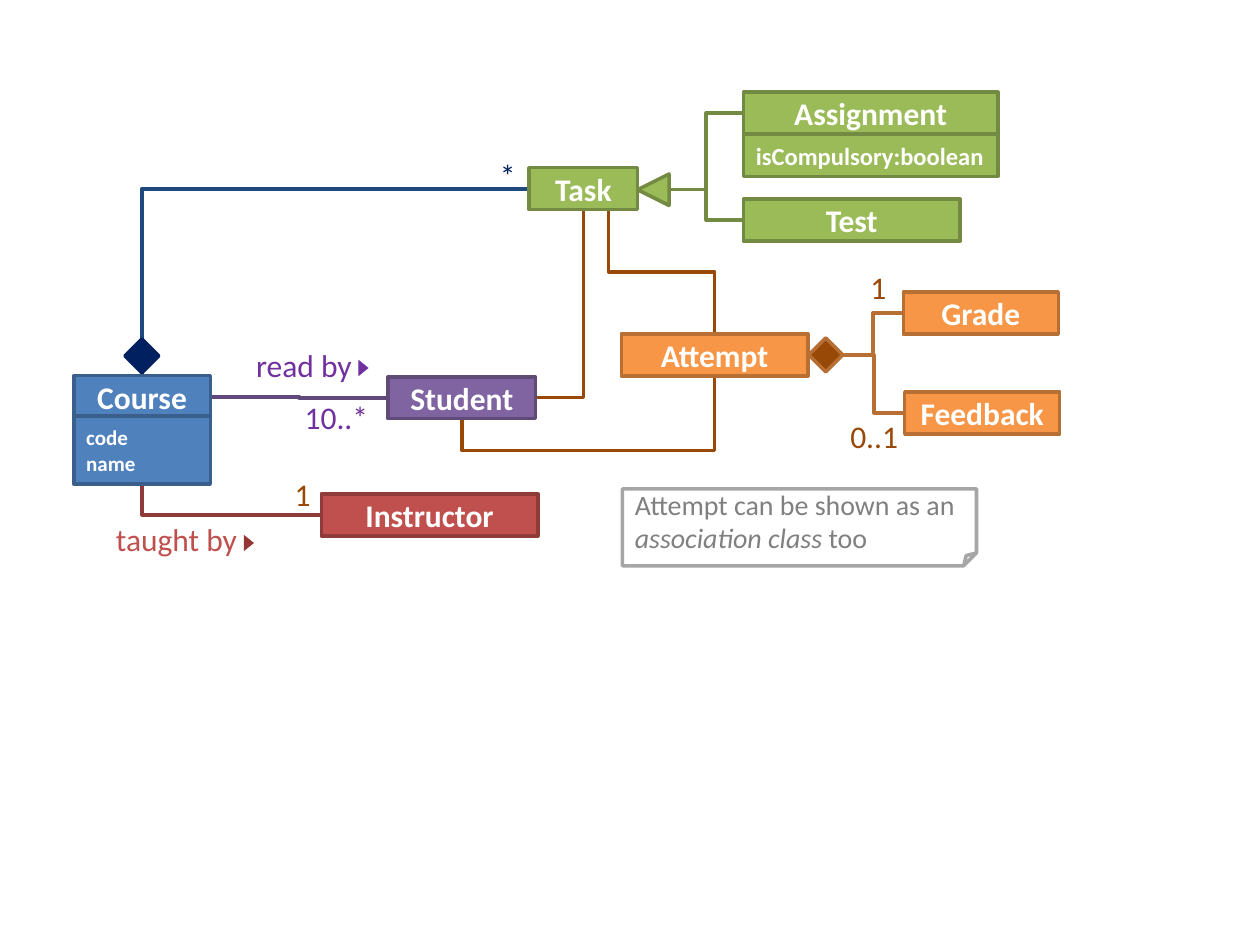
from lxml import etree
from pptx import Presentation
from pptx import util as u
from pptx.dml.color import RGBColor
from pptx.enum import shapes, text
from pptx.oxml.ns import qn

WHITE = RGBColor(0xFF, 0xFF, 0xFF)
BLUE, BLUE_EDGE = RGBColor(0x4F, 0x81, 0xBD), RGBColor(0x3A, 0x5F, 0x8C)
GREEN, GREEN_EDGE = RGBColor(0x9B, 0xBB, 0x59), RGBColor(0x73, 0x8A, 0x42)
PURPLE, PURPLE_EDGE = RGBColor(0x80, 0x64, 0xA2), RGBColor(0x5F, 0x4A, 0x78)
RED, RED_EDGE = RGBColor(0xC0, 0x50, 0x4D), RGBColor(0x8E, 0x3B, 0x39)
ORANGE, ORANGE_EDGE = RGBColor(0xF7, 0x96, 0x46), RGBColor(0xB7, 0x6F, 0x34)
NAVY = RGBColor(0x00, 0x20, 0x60)
DARK_BLUE = RGBColor(0x1F, 0x49, 0x7D)
DARK_PURPLE = RGBColor(0x60, 0x4A, 0x7B)
VIOLET = RGBColor(0x70, 0x30, 0xA0)
DARK_RED = RGBColor(0x95, 0x37, 0x35)
BROWN = RGBColor(0x98, 0x48, 0x07)
GRAY, GRAY_EDGE = RGBColor(0x80, 0x80, 0x80), RGBColor(0xA6, 0xA6, 0xA6)

LEFT, CENTER, RIGHT = text.PP_ALIGN.LEFT, text.PP_ALIGN.CENTER, text.PP_ALIGN.RIGHT
SHAPE = shapes.MSO_SHAPE
ROW = 24  # height of a class name row


def write(box, lines, size=18, color=WHITE, bold=False, align=LEFT,
          anchor=text.MSO_ANCHOR.MIDDLE):
    """Fill the box; each line is a list of spans, every second one italic."""
    frame = box.text_frame
    frame.word_wrap = True
    frame.vertical_anchor = anchor
    for number, spans in enumerate(lines):
        para = frame.add_paragraph() if number else frame.paragraphs[0]
        para.alignment = align
        for index, words in enumerate(spans):
            span = para.add_run()
            span.text = words
            font = span.font
            font.name, font.size, font.bold = "Calibri", u.Pt(size), bold
            font.italic = True if index % 2 else None
            font.color.rgb = color


def link(start, end, color, width=2, turn=0, bends=2, adjust=0.5):
    """Draw an elbow line that leaves start right, or turned clockwise by turn."""
    dx, dy = end[0] - start[0], end[1] - start[1]
    across, down = {0: (dx, dy), 90: (dy, -dx), 180: (-dx, -dy), 270: (-dy, dx)}[turn]
    mid_x, mid_y = (start[0] + end[0]) / 2, (start[1] + end[1]) / 2
    line = page.shapes.add_connector(
        shapes.MSO_CONNECTOR.ELBOW,
        u.Pt(mid_x - across / 2), u.Pt(mid_y - down / 2),
        u.Pt(mid_x + across / 2), u.Pt(mid_y + down / 2))
    line.line.color.rgb = color
    line.line.width = u.Pt(width)
    props = line.element.spPr
    if turn:
        props.find(qn("a:xfrm")).set("rot", str(turn * 60000))
    geometry = props.find(qn("a:prstGeom"))
    geometry.set("prst", f"bentConnector{bends + 1}")
    if bends == 2:
        guide = etree.SubElement(geometry.find(qn("a:avLst")), qn("a:gd"))
        guide.set("name", "adj1")
        guide.set("fmla", f"val {round(adjust * 100000)}")
    etree.SubElement(props, qn("a:effectLst"))


deck = Presentation()
deck.slide_width, deck.slide_height = u.Pt(720), u.Pt(540)
page = deck.slides.add_slide(deck.slide_layouts[6])

# Associations
link((120.2, 226.6), (221.8, 227.3), DARK_PURPLE, width=2.25)
link((81.2, 214.6), (302.4, 107.8), DARK_BLUE, width=2.25, turn=90, bends=1)
link((81.2, 276.6), (183.6, 294.2), RED_EDGE, turn=270, bends=1)
link((333.4, 119.8), (306, 227.3), BROWN, turn=90, bends=1)
link((347.8, 119.8), (408.3, 190.8), BROWN, turn=270)
link((263.9, 239.3), (408.3, 214.8), BROWN, turn=90, adjust=-0.74)
link((516.2, 179), (461.6, 202.8), ORANGE_EDGE, turn=180, adjust=0.32)
link((517, 235.9), (481.6, 202.8), ORANGE_EDGE, turn=180)
for middle in (64.6, 125.8):
    link((382.3, 108.4), (424.8, middle), GREEN_EDGE)

# Classes: name, left, top, width, fill, edge
classes = [
    ("Course", 42.2, 214.6, 78, BLUE, BLUE_EDGE),
    ("Task", 302.4, 95.8, 62, GREEN, GREEN_EDGE),
    ("Student", 221.8, 215.3, 84.2, PURPLE, PURPLE_EDGE),
    ("Instructor", 183.6, 282.2, 123.8, RED, RED_EDGE),
    ("Attempt", 355, 190.8, 106.6, ORANGE, ORANGE_EDGE),
    ("Assignment", 424.8, 52.6, 145.4, GREEN, GREEN_EDGE),
    ("Test", 424.8, 113.8, 123.8, GREEN, GREEN_EDGE),
    ("Grade", 516.2, 167, 88.6, ORANGE, ORANGE_EDGE),
    ("Feedback", 517, 223.9, 88.6, ORANGE, ORANGE_EDGE),
]
heading = dict(size=18, bold=True, align=CENTER)
blocks = [(SHAPE.RECTANGLE, left, top, width, ROW, 0, fill, edge, [[name]], heading)
          for name, left, top, width, fill, edge in classes]

# Attributes, symbols and the note
blocks += [
    (SHAPE.RECTANGLE, 42.2, 237.8, 78, 38.8, 0, BLUE, BLUE_EDGE,
     [["code"], ["name"]], dict(size=12, bold=True)),
    (SHAPE.RECTANGLE, 424.8, 76.8, 145.4, ROW, 0, GREEN, GREEN_EDGE,
     [["isCompulsory:boolean"]], dict(size=14, bold=True)),
    (SHAPE.ISOSCELES_TRIANGLE, 364.3, 99.4, 18, 18, 270, GREEN, GREEN_EDGE, [], {}),
    (SHAPE.DIAMOND, 462.2, 193.1, 19.4, 19.4, 0, BROWN, ORANGE_EDGE, [], {}),
    (SHAPE.DIAMOND, 71.4, 193.7, 19.4, 19.4, 0, NAVY, NAVY, [], {}),
    (SHAPE.ISOSCELES_TRIANGLE, 137.5, 307.4, 9.4, 5.8, 90, DARK_RED, None, [], {}),
    (SHAPE.ISOSCELES_TRIANGLE, 203, 207.4, 9.4, 5.8, 90, VIOLET, None, [], {}),
    (SHAPE.FOLDED_CORNER, 355.7, 279.4, 202.3, 43.9, 0, None, GRAY_EDGE,
     [["Attempt can be shown as an ", "association class ", "too"]],
     dict(size=16, color=GRAY)),
]
for kind, left, top, width, height, rotation, fill, edge, lines, style in blocks:
    block = page.shapes.add_shape(kind, u.Pt(left), u.Pt(top), u.Pt(width), u.Pt(height))
    block.rotation = rotation
    block.shadow.inherit = False
    if fill is None:
        block.fill.background()
    else:
        block.fill.solid()
        block.fill.fore_color.rgb = fill
    if edge is None:
        block.line.fill.background()
    else:
        block.line.color.rgb = edge
        block.line.width = u.Pt(2)
    write(block, lines, **style)

# Role names and multiplicities: text, left, top, width, colour, alignment
labels = [
    ("*", 278.6, 85.7, 20.2, NAVY, LEFT),
    ("0..1", 478.8, 234.7, 52.6, BROWN, LEFT),
    ("1", 161.3, 267.8, 26.6, BROWN, LEFT),
    ("1", 490.3, 149.8, 26.6, BROWN, LEFT),
    ("10..*", 167, 223.9, 51.1, VIOLET, LEFT),
    ("taught by", 54, 293.8, 88.6, RED, RIGHT),
    ("read by", 119.5, 194.4, 88.6, VIOLET, RIGHT),
]
for words, left, top, width, color, align in labels:
    label = page.shapes.add_textbox(u.Pt(left), u.Pt(top), u.Pt(width), u.Pt(29))
    write(label, [[words]], color=color, align=align, anchor=text.MSO_ANCHOR.TOP)

deck.save("out.pptx")
